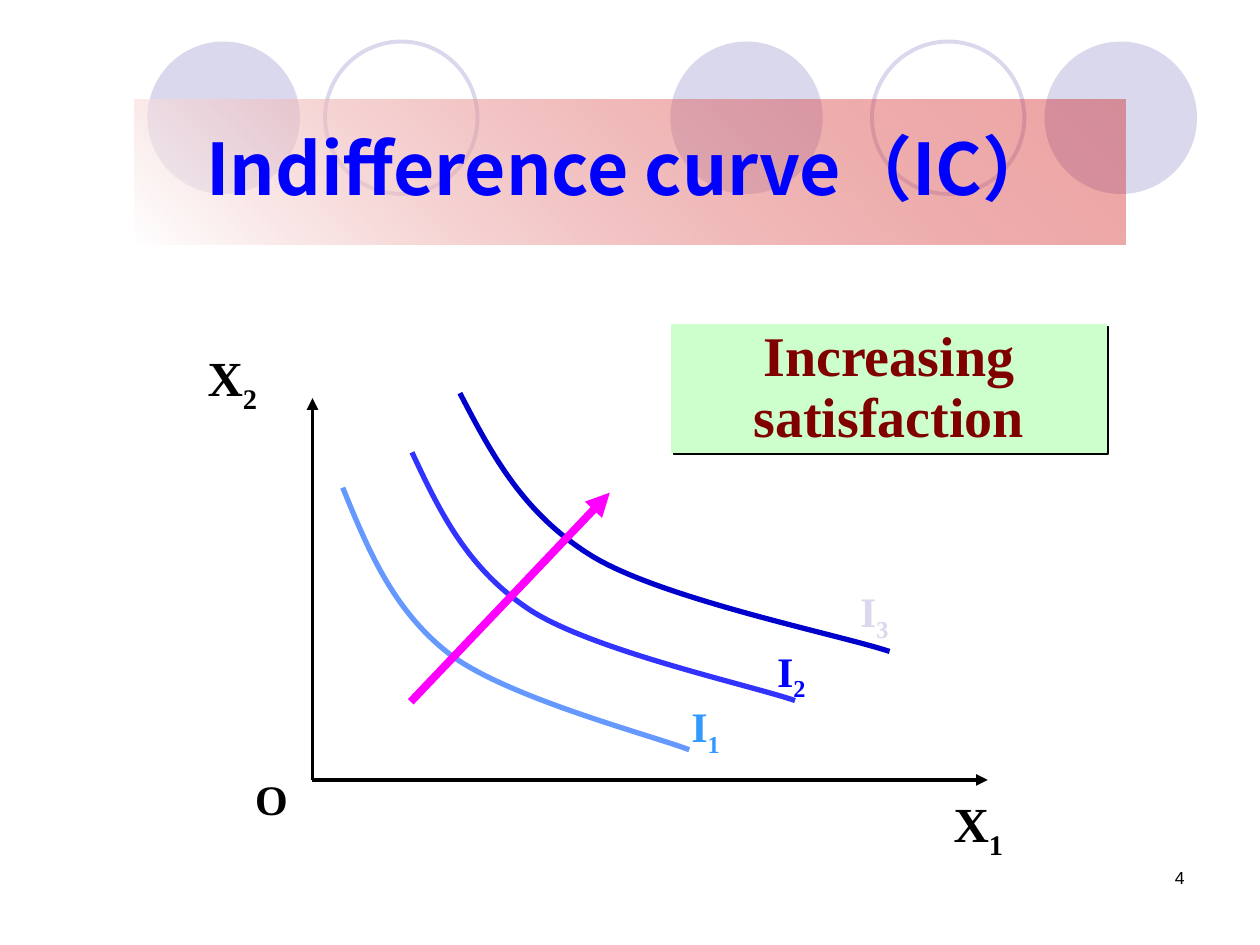
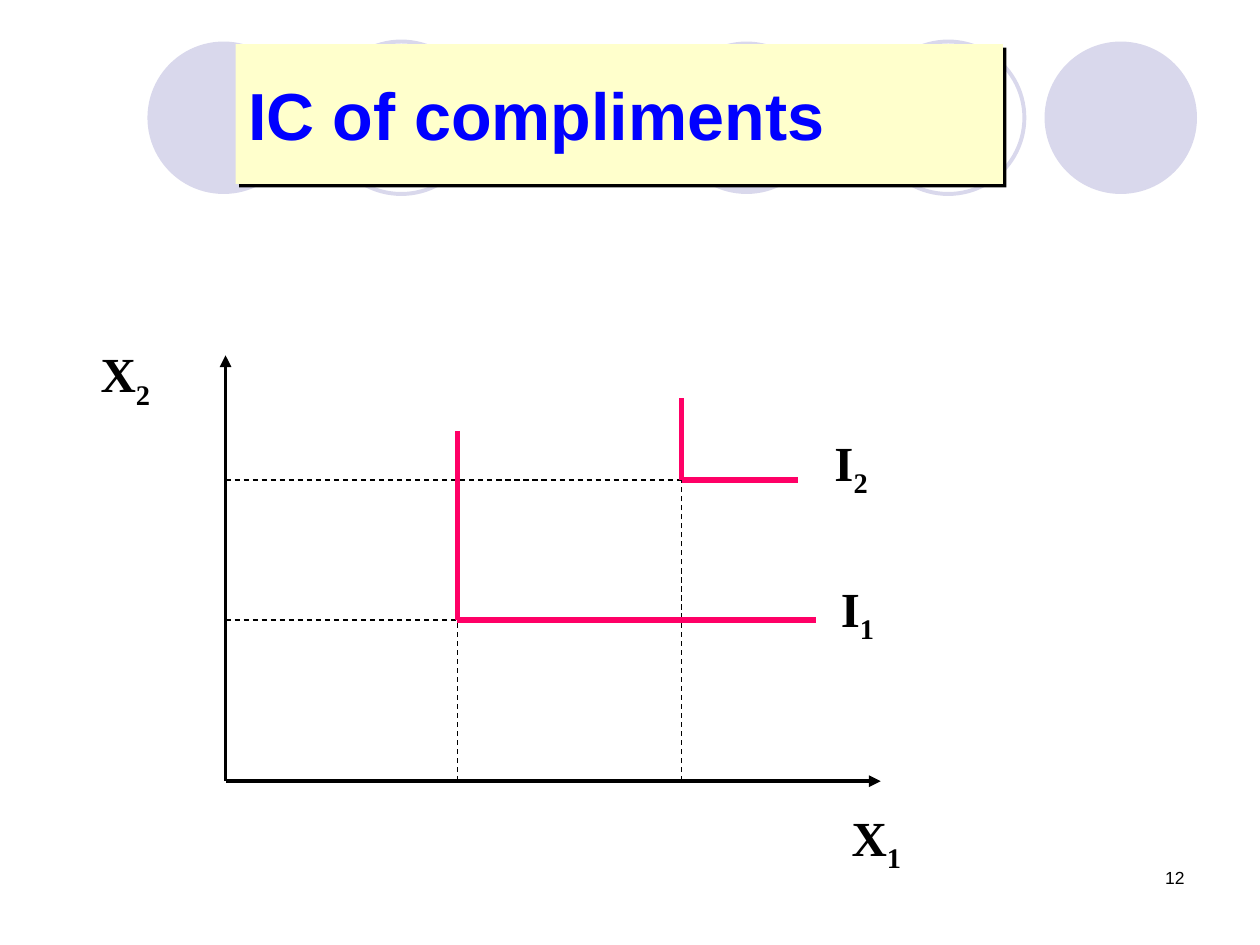
from typing import NamedTuple

import pptx
import pptx.dml.color
import pptx.enum.dml
import pptx.enum.shapes
import pptx.enum.text
import pptx.oxml
import pptx.oxml.ns
import pptx.util

Inches = pptx.util.Inches
RGBColor = pptx.dml.color.RGBColor
SHAPE = pptx.enum.shapes.MSO_SHAPE
ALIGN = pptx.enum.text.PP_ALIGN
ANCHOR = pptx.enum.text.MSO_ANCHOR
qn = pptx.oxml.ns.qn

BLACK = RGBColor(0x00, 0x00, 0x00)
WHITE = RGBColor(0xFF, 0xFF, 0xFF)
LAVENDER = RGBColor(0xD9, 0xD8, 0xEC)
TITLE_BLUE = RGBColor(0x00, 0x00, 0xFF)
BAND_RED = RGBColor(0xCC, 0x00, 0x00)
BAND_YELLOW = RGBColor(0xFF, 0xFF, 0xCC)
CALLOUT_GREEN = RGBColor(0xCC, 0xFF, 0xCC)
MAROON = RGBColor(0x80, 0x00, 0x00)
MAGENTA = RGBColor(0xFF, 0x00, 0xFF)
PINK = RGBColor(0xFF, 0x00, 0x66)
LIGHT_CURVE = RGBColor(0x66, 0x99, 0xFF)
MID_CURVE = RGBColor(0x33, 0x33, 0xFF)
DARK_CURVE = RGBColor(0x00, 0x00, 0xCC)
LIGHT_LABEL = RGBColor(0x33, 0x99, 0xFF)

SANS, SERIF, CJK = "Arial", "Times New Roman", "Noto Sans CJK SC"


class Box(NamedTuple):
    left: float
    top: float
    width: float
    height: float

    def inside(self, x, y, width, height):
        """Box whose offset x, y is counted from this box's corner."""
        return Box(self.left + x, self.top + y, width, height)

    def point(self, x, y):
        return Inches(self.left + x), Inches(self.top + y)

    def lengths(self):
        return [Inches(length) for length in self]


def xml(tag, parent, **attributes):
    child = pptx.oxml.parse_xml(f"<a:{tag} {pptx.oxml.ns.nsdecls('a')}/>")
    for key, value in attributes.items():
        child.set(key, str(value))
    parent.append(child)
    return child


def write(shape, text, *, size, font=SERIF, color=BLACK, bold=True, align=ALIGN.CENTER,
          anchor=ANCHOR.TOP, margins=(0, 0), spacing=None, before=None):
    """Fill a shape with one paragraph; what follows "_" is set as a subscript."""
    frame = shape.text_frame
    frame.word_wrap = True
    frame.vertical_anchor = anchor
    frame.margin_left = frame.margin_right = Inches(margins[0])
    frame.margin_top = frame.margin_bottom = Inches(margins[1])
    paragraph = frame.paragraphs[0]
    paragraph.alignment = align
    if spacing:
        paragraph.line_spacing = spacing
    if before:
        paragraph.space_before = pptx.util.Pt(before)
    for index, part in enumerate(text.split("_")):
        run = paragraph.add_run()
        run.text = part
        run.font.size = pptx.util.Pt(size)
        run.font.name = font
        run.font.bold = bold
        run.font.color.rgb = color
        xml("ea", run.font._element, typeface=font)
        if index:
            run.font._element.set("baseline", "-25000")


def add_label(slide, box, text, **style):
    write(slide.shapes.add_textbox(*box.lengths()), text, **style)


def add_preset(slide, kind, box, fill=None, line=None, weight=0.75, shadow=None):
    shape = slide.shapes.add_shape(kind, *box.lengths())
    shape.shadow.inherit = False
    if fill is None:
        shape.fill.background()
    else:
        shape.fill.solid()
        shape.fill.fore_color.rgb = fill
    if line is None:
        shape.line.fill.background()
    else:
        shape.line.color.rgb = line
        shape.line.width = pptx.util.Pt(weight)
    if shadow:
        effects = shape.element.spPr.find(qn("a:effectLst"))
        cast = xml("outerShdw", effects, blurRad=0, dist=pptx.util.Pt(shadow),
                   dir=45 * 60000, algn="ctr", rotWithShape=0)
        xml("srgbClr", cast, val=BLACK)
    return shape


def add_line(slide, box, start, end, color=BLACK, weight=2.25, arrow=False, dashed=False):
    line = slide.shapes.add_connector(pptx.enum.shapes.MSO_CONNECTOR.STRAIGHT,
                                      *box.point(*start), *box.point(*end))
    line.line.color.rgb = color
    line.line.width = pptx.util.Pt(weight)
    if dashed:
        line.line.dash_style = pptx.enum.dml.MSO_LINE.DASH
    if arrow:
        xml("tailEnd", line.line._get_or_add_ln(), type="triangle")
    xml("effectLst", line.element.spPr)


def add_curve(slide, box, points, color):
    """Draw a Bezier curve: a start, then two handles and an end per segment."""
    builder = slide.shapes.build_freeform(*box.point(*points[0]))
    builder.add_line_segments([box.point(*point) for point in points[1:]], close=False)
    curve = builder.convert_to_shape()
    curve.shadow.inherit = False
    curve.fill.background()
    curve.line.color.rgb = color
    curve.line.width = pptx.util.Pt(3)
    steps = list(curve.element.iter(qn("a:lnTo")))
    outline = steps[0].getparent()
    for first in range(0, len(steps), 3):
        segment = xml("cubicBezTo", outline)
        for step in steps[first:first + 3]:
            segment.append(step[0])
            outline.remove(step)


def add_axes(slide, box):
    add_line(slide, box, (0, box.height), (0, 0), arrow=True)
    add_line(slide, box, (0, box.height), (box.width, box.height), arrow=True)


def add_backdrop(slide, box, number):
    """Row of circles and page number shared by all slides."""
    for x in (0, 4.15, 7.12):
        add_preset(slide, SHAPE.OVAL, box.inside(x, 0, 1.21, 1.21), fill=LAVENDER)
    for x in (1.41, 5.75):
        add_preset(slide, SHAPE.OVAL, box.inside(x, 0, 1.21, 1.21), line=LAVENDER, weight=2.25)
    add_label(slide, box.inside(6, 6.5, 2.33, 0.5), str(number), size=10, font=SANS,
              bold=False, align=ALIGN.RIGHT, margins=(0.1, 0.05))


def add_gradient_title(slide, box, text):
    band = add_preset(slide, SHAPE.RECTANGLE, box)
    band.fill.gradient()
    band.fill.gradient_angle = 45
    for stop, color, opacity in zip(band.fill.gradient_stops, (WHITE, BAND_RED), (68, 35)):
        stop.color.rgb = color
    for color, opacity in zip(band.element.spPr.iter(qn("a:srgbClr")), (68, 35)):
        xml("alpha", color, val=opacity * 1000)
    write(band, text, size=40.7, font=CJK, color=TITLE_BLUE, anchor=ANCHOR.MIDDLE,
          margins=(0.1, 0.05), spacing=0.9, before=27.5)


def add_shadowed_title(slide, box, text):
    band = add_preset(slide, SHAPE.RECTANGLE, box, fill=BAND_YELLOW, shadow=2.8)
    write(band, text, size=38, font=SANS, color=TITLE_BLUE, align=ALIGN.LEFT,
          anchor=ANCHOR.MIDDLE, margins=(0.1, 0.05))


def add_callout(slide, box, text):
    callout = add_preset(slide, SHAPE.RECTANGLE, box, fill=CALLOUT_GREEN,
                         line=CALLOUT_GREEN, shadow=1.4)
    write(callout, text, size=32, color=MAROON, anchor=ANCHOR.MIDDLE, spacing=0.9)


def add_indifference_map(slide, box):
    add_axes(slide, box)
    curves = [
        (LIGHT_CURVE, [(0.24, 0.71), (0.44, 1.2), (0.64, 1.69), (1.1, 2.04),
                       (1.56, 2.38), (2.67, 2.67), (2.99, 2.79)]),
        (MID_CURVE, [(0.79, 0.43), (1.01, 0.9), (1.23, 1.36), (1.74, 1.69),
                     (2.25, 2.01), (3.48, 2.28), (3.83, 2.4)]),
        (DARK_CURVE, [(1.17, -0.04), (1.42, 0.44), (1.67, 0.92), (2.23, 1.26),
                      (2.8, 1.6), (4.19, 1.88), (4.58, 2.01)]),
    ]
    for color, points in curves:
        add_curve(slide, box, points, color)
    for text, x, y, size in [("X_1", 4.82, 3.14, 28), ("X_2", -1.1, -0.4, 28),
                             ("O", -0.79, 2.98, 24)]:
        add_label(slide, box.inside(x, y, 0.93, 0.52), text, size=size)
    for text, x, y, color in [("I_1", 2.83, 2.4, LIGHT_LABEL), ("I_2", 3.51, 1.96, TITLE_BLUE),
                              ("I_3", 4.17, 1.49, LAVENDER)]:
        add_label(slide, box.inside(x, y, 0.58, 0.52), text, size=24, color=color)
    add_line(slide, box, (0.78, 2.41), (2.36, 0.75), color=MAGENTA, weight=4.5, arrow=True)


def add_complements_map(slide, box):
    add_axes(slide, box)
    # corner x, corner y, upper end, right end
    kinks = [(1.84, 2.1, 0.6, 4.69), (3.62, 0.99, 0.34, 4.54)]
    for x, y, _, _ in kinks:
        add_line(slide, box, (0, y), (x, y), weight=0.75, dashed=True)
        add_line(slide, box, (x, box.height), (x, y), weight=0.75, dashed=True)
    for x, y, upper, right in kinks:
        add_line(slide, box, (x, upper), (x, y), color=PINK, weight=3)
        add_line(slide, box, (x, y), (right, y), color=PINK, weight=3)
    for text, x, y, width in [("X_1", 4.52, 3.59, 1.29), ("X_2", -1.44, -0.09, 1.29),
                              ("I_1", 4.28, 1.77, 1.47), ("I_2", 4.23, 0.61, 1.47)]:
        add_label(slide, box.inside(x, y, width, 0.8), text, size=28)


def main():
    deck = pptx.Presentation()
    deck.slide_width, deck.slide_height = Inches(10), Inches(7.5)
    backdrop = Box(1.17, 0.33, 8.33, 7)
    curves, complements = (deck.slides.add_slide(deck.slide_layouts[6]) for _ in range(2))

    add_backdrop(curves, backdrop, 4)
    add_indifference_map(curves, Box(2.48, 3.16, 5.36, 3.03))
    add_gradient_title(curves, Box(1.07, 0.79, 7.86, 1.15), "Indifference curve（IC）")
    add_callout(curves, Box(5.33, 2.58, 3.45, 1.01), "Increasing satisfaction")

    add_backdrop(complements, backdrop, 12)
    add_complements_map(complements, Box(1.79, 2.82, 5.2, 3.38))
    add_shadowed_title(complements, Box(1.87, 0.35, 6.09, 1.11), "IC of compliments")
    deck.save("out.pptx")


if __name__ == "__main__":
    main()
